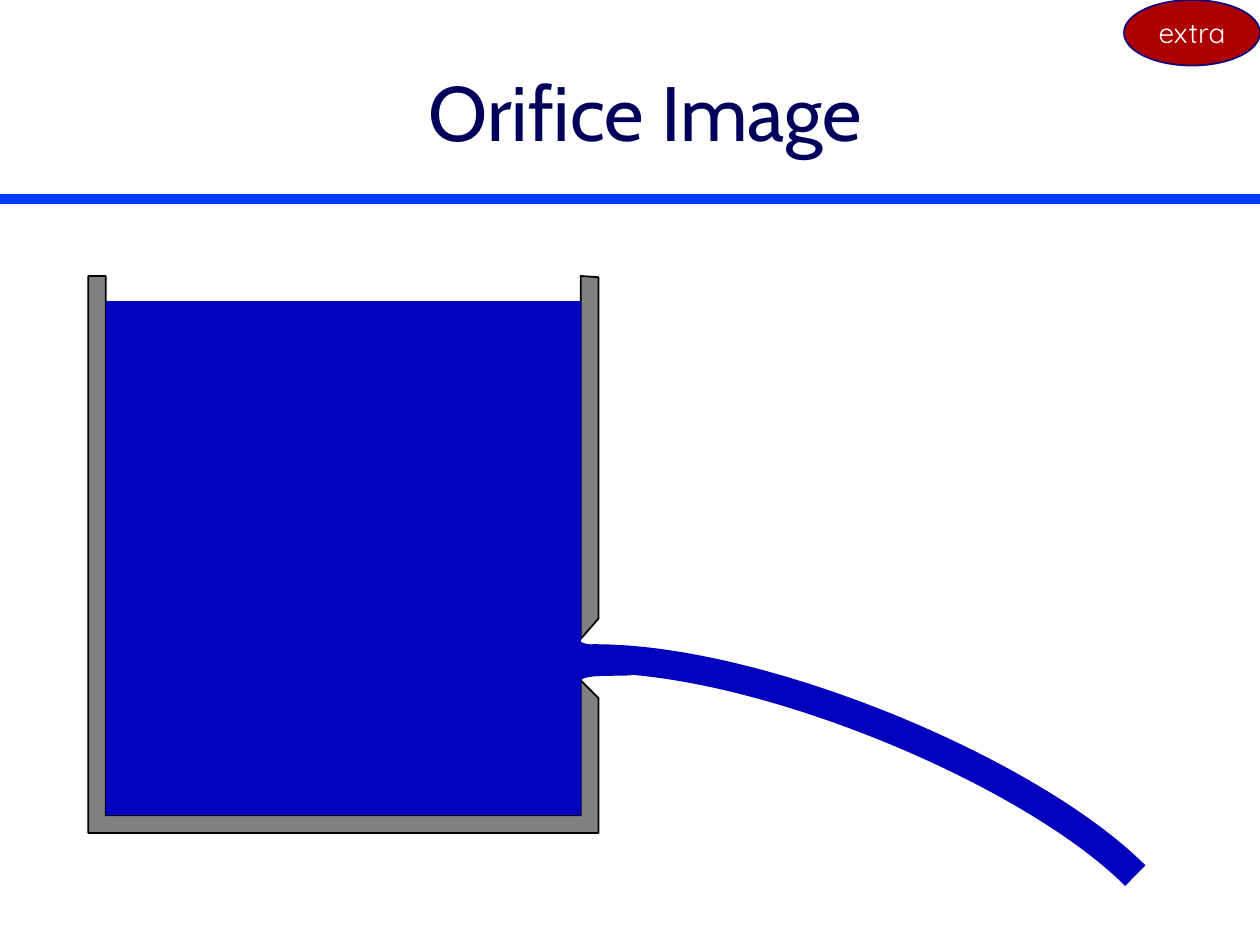
from dataclasses import dataclass

from lxml.etree import SubElement
from pptx import Presentation
from pptx.dml.color import RGBColor
from pptx.enum.shapes import MSO_CONNECTOR, MSO_SHAPE
from pptx.enum.text import MSO_ANCHOR, PP_ALIGN
from pptx.oxml.ns import qn
from pptx.util import Inches, Pt


@dataclass(frozen=True)
class Theme:
    title: RGBColor = RGBColor.from_string("00005A")
    rule: RGBColor = RGBColor.from_string("003CFE")
    wall: RGBColor = RGBColor.from_string("808080")
    wall_edge: RGBColor = RGBColor.from_string("000000")
    water: RGBColor = RGBColor.from_string("0300BE")
    badge: RGBColor = RGBColor.from_string("AC0000")
    badge_edge: RGBColor = RGBColor.from_string("12037F")
    badge_text: RGBColor = RGBColor.from_string("FFFFFF")
    title_font: str = "Cabin"
    badge_font: str = "Quicksand"
    title_size: Pt = Pt(44)
    badge_size: Pt = Pt(16)
    rule_width: Pt = Pt(6)
    edge_width: Pt = Pt(1)
    jet_width: Pt = Pt(16.5)


THEME = Theme()
WALL = 0.14


def paint(shape, fill=None, line=None, width=THEME.edge_width):
    shape.shadow.inherit = False
    if fill is None:
        shape.fill.background()
    else:
        shape.fill.solid()
        shape.fill.fore_color.rgb = fill
    if line is None:
        shape.line.fill.background()
    else:
        shape.line.color.rgb = line
        shape.line.width = width


def write(shape, text, font, size, color):
    frame = shape.text_frame
    frame.text = text
    frame.vertical_anchor = MSO_ANCHOR.MIDDLE
    paragraph = frame.paragraphs[0]
    paragraph.alignment = PP_ALIGN.CENTER
    paragraph.font.name = font
    paragraph.font.size = size
    paragraph.font.color.rgb = color


def outline(group, left, top, points, close=True):
    """Draw a freeform whose points are inches from (left, top)."""
    emu = [(Inches(left + x), Inches(top + y)) for x, y in points]
    builder = group.shapes.build_freeform(*emu[0], scale=1.0)
    builder.add_line_segments(emu[1:], close=close)
    return builder.convert_to_shape()


def curve(group, left, top, points):
    """Draw an open cubic curve: a start, then two handles and an end per arc."""
    shape = outline(group, left, top, points, close=False)
    segments = list(shape._element.iter(qn("a:lnTo")))
    track = segments[0].getparent()
    for first in range(0, len(segments), 3):
        arc = SubElement(track, qn("a:cubicBezTo"))
        for segment in segments[first:first + 3]:
            arc.append(segment[0])
            track.remove(segment)
    return shape


def add_header(slide, left, top, width, height, rule_y, rule_end):
    rule = slide.shapes.add_connector(
        MSO_CONNECTOR.STRAIGHT, 0, Inches(rule_y), Inches(rule_end), Inches(rule_y))
    rule.line.color.rgb = THEME.rule
    rule.line.width = THEME.rule_width
    SubElement(rule._element.spPr, qn("a:effectLst"))

    title = slide.shapes.title
    title.left, title.top = Inches(left), Inches(top)
    title.width, title.height = Inches(width), Inches(height)
    write(title, "Orifice Image", THEME.title_font, THEME.title_size, THEME.title)


def add_tank(group, left, top, width, height):
    """Draw the walls, with a bevelled orifice at the right, and the water."""
    inner_right, inner_bottom = width - WALL, height - WALL
    lower_wall = [(0, 0), (0, height), (width, height), (width, 3.35),
                  (inner_right, 3.21), (inner_right, inner_bottom),
                  (WALL, inner_bottom), (WALL, 0)]
    upper_wall = [(inner_right, 0), (inner_right, 2.88), (width, 2.72), (width, 0.01)]
    for wall in (lower_wall, upper_wall):
        paint(outline(group, left, top, wall), THEME.wall, THEME.wall_edge)

    surface = 0.2
    water = group.shapes.add_shape(
        MSO_SHAPE.RECTANGLE, Inches(left + WALL), Inches(top + surface),
        Inches(inner_right - WALL), Inches(inner_bottom - surface))
    paint(water, THEME.water)


def add_jet(group, left, top):
    """Draw the water contracting at the orifice, then the falling stream."""
    mouth = [(0, 0),
             (0.01, 0.05), (0.26, 0.05), (0.41, 0.05),
             (0.42, 0.16), (0.42, 0.2), (0.41, 0.28),
             (0.26, 0.29), (0.01, 0.27), (0.01, 0.33)]
    paint(curve(group, left, top, mouth), THEME.water)

    stream = [(0.02, 0.15), (1.33, 0.1), (3.56, 1.02), (4.41, 1.87)]
    paint(curve(group, left, top, stream), line=THEME.water, width=THEME.jet_width)


def add_badge(slide, left, top, width, height):
    badge = slide.shapes.add_shape(
        MSO_SHAPE.OVAL, Inches(left), Inches(top), Inches(width), Inches(height))
    paint(badge, THEME.badge, THEME.badge_edge)
    write(badge, "extra", THEME.badge_font, THEME.badge_size, THEME.badge_text)
    badge.text_frame.word_wrap = False


def main():
    deck = Presentation()
    deck.slide_width, deck.slide_height = Inches(10), Inches(7.5)
    slide = deck.slides.add_slide(deck.slide_layouts[5])
    add_header(slide, 0.5, 0.25, 9.25, 1.25, rule_y=1.58, rule_end=10)
    orifice = slide.shapes.add_group_shape()
    add_tank(orifice, 0.7, 2.19, 4.05, 4.42)
    add_jet(orifice, 4.6, 5.08)
    add_badge(slide, 8.92, 0, 1.08, 0.52)
    deck.save("out.pptx")


if __name__ == "__main__":
    main()
